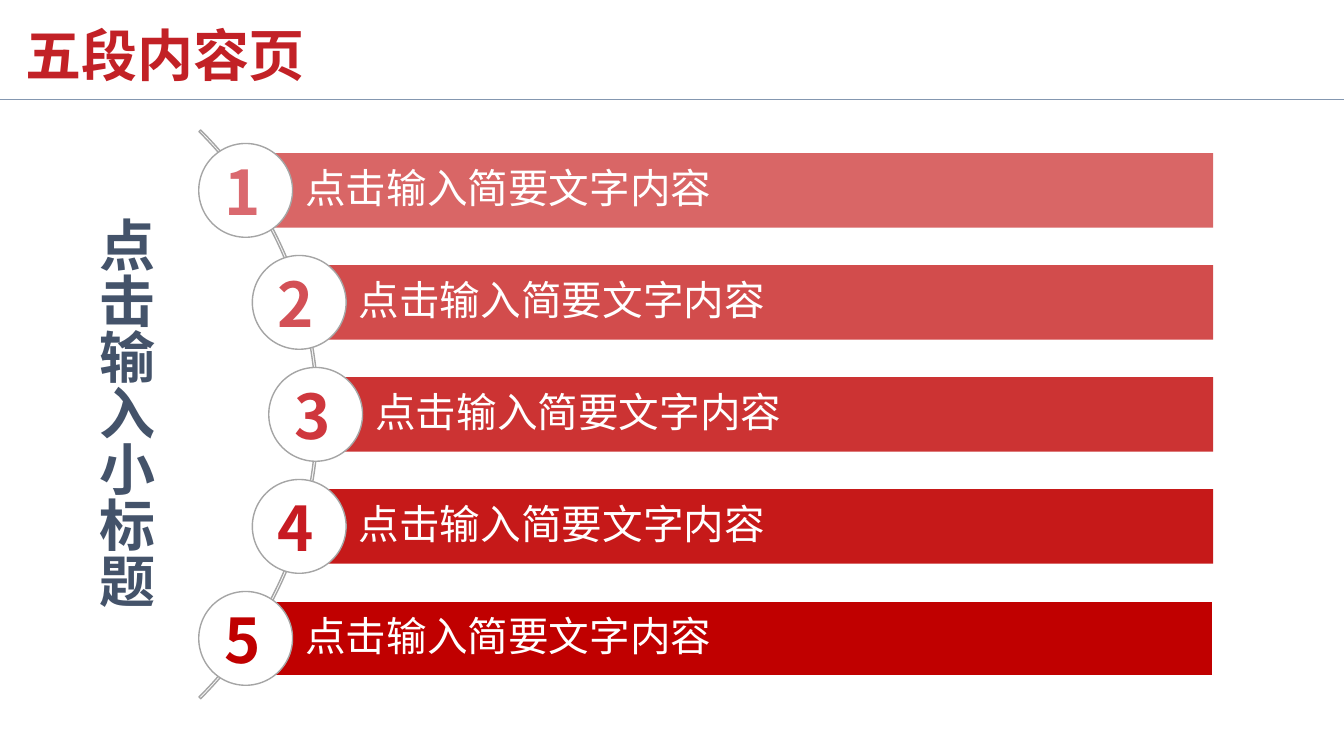
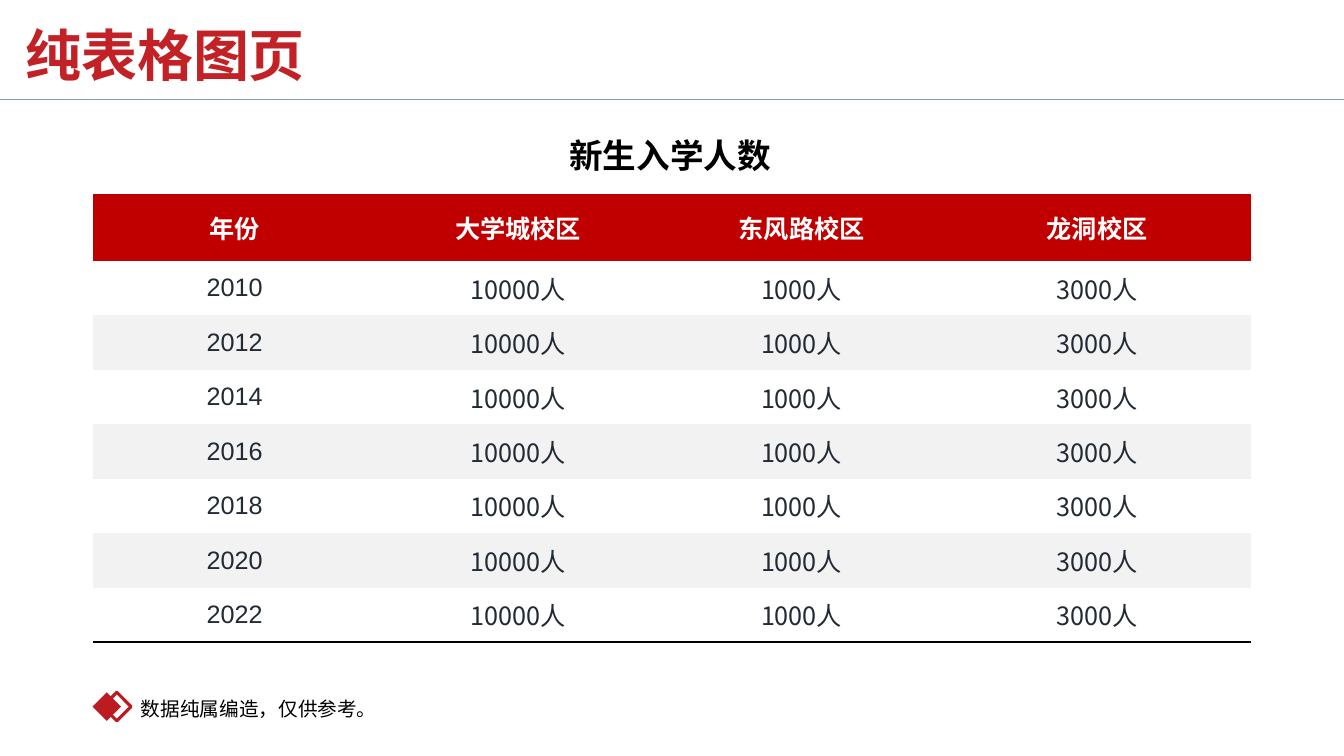
from lxml import etree
from pptx import Presentation
from pptx.dml.color import RGBColor
from pptx.enum.shapes import MSO_CONNECTOR, MSO_SHAPE
from pptx.enum.text import MSO_ANCHOR, MSO_AUTO_SIZE, PP_ALIGN
from pptx.oxml.ns import qn
from pptx.util import Pt

LEFT, CENTER = PP_ALIGN.LEFT, PP_ALIGN.CENTER
TOP, MIDDLE, BOTTOM = MSO_ANCHOR.TOP, MSO_ANCHOR.MIDDLE, MSO_ANCHOR.BOTTOM
RECT, OVAL, ARC = MSO_SHAPE.RECTANGLE, MSO_SHAPE.OVAL, MSO_SHAPE.BLOCK_ARC


class Theme:
    main, plain, year = "Noto Sans CJK JP", "Noto Sans CJK SC", "Arial"
    title, rule, red, mark = "C22126", "8497B0", "C00000", "BC1B21"
    white, black, gray, band = "FFFFFF", "000000", "A5A5A5", "F2F2F2"
    slate, ink = "44536A", "222A35"
    head, digit, item, caption, cell, note = 40, 44, 29, 24, 18, 14


# circle centre, bar opacity in percent, digit colour, text
ITEMS = [
    (175.5, 60, "DA696F", "点击输入简要文字内容"),
    (213.75, 70, "D35056", "点击输入简要文字内容"),
    (225.5, 80, "CF373D", "点击输入简要文字内容"),
    (213.75, 90, "C71B22", "点击输入简要文字内容"),
    (175.5, 100, "C00000", "点击输入简要文字内容"),
]
SIDE = "点击输入小标题"
CAPTION = "新生入学人数"
HEADS = ["年份", "大学城校区", "东风路校区", "龙洞校区"]
YEARS = range(2010, 2023, 2)
COUNTS = ["10000人", "1000人", "3000人"]
NOTE = "数据纯属编造，仅供参考。"


def rgb(code):
    return RGBColor.from_string(code)


def place(shape, box):
    shape.left, shape.top, shape.width, shape.height = map(Pt, box)


def style(para, size, color, bold=False, face=Theme.main, align=LEFT, gap=1):
    para.alignment, para.line_spacing = align, gap
    font = para.font
    font.size, font.bold, font.name = Pt(size), bold, face
    font.color.rgb = rgb(color)
    asian = Theme.plain if face == Theme.year else face
    props = para._p.pPr.find(qn("a:defRPr"))
    etree.SubElement(props, qn("a:ea")).set("typeface", asian)


def write(frame, text, *look, anchor=TOP, pads=(7.2, 3.6, 7.2, 3.6), **more):
    frame.text = text
    frame.word_wrap, frame.vertical_anchor = True, anchor
    (frame.margin_left, frame.margin_top,
     frame.margin_right, frame.margin_bottom) = map(Pt, pads)
    style(frame.paragraphs[0], *look, **more)


def add_text(slide, box, *args, **more):
    frame = slide.shapes.add_textbox(*map(Pt, box)).text_frame
    write(frame, *args, **more)
    return frame


def add_form(slide, kind, box, fill=None, line=None, width=1):
    form = slide.shapes.add_shape(kind, *map(Pt, box))
    form.shadow.inherit = False
    if fill:
        form.fill.solid()
        form.fill.fore_color.rgb = rgb(fill)
    else:
        form.fill.background()
    if line:
        form.line.color.rgb, form.line.width = rgb(line), Pt(width)
    else:
        form.line.fill.background()
    return form


def fade(form, percent):
    color = form.fill._xPr.find(".//" + qn("a:srgbClr"))
    etree.SubElement(color, qn("a:alpha")).set("val", str(percent * 1000))


def add_page(deck, title):
    slide = deck.slides.add_slide(deck.slide_layouts[5])
    head = slide.shapes.title
    place(head, (18, 8, 214, 55.5))
    write(head.text_frame, title, Theme.head, Theme.title, True,
          anchor=BOTTOM, pads=(0, 3.6, 0, 0), gap=0.9)
    head.text_frame.auto_size = MSO_AUTO_SIZE.NONE
    return slide


def share_rule(slide):
    """Put the line under the title on the layout that all slides use."""
    rule = slide.shapes.add_connector(
        MSO_CONNECTOR.STRAIGHT, Pt(0), Pt(71), Pt(960), Pt(71))
    rule.line.color.rgb, rule.line.width = rgb(Theme.rule), Pt(0.5)
    etree.SubElement(rule._element.spPr, qn("a:effectLst"))
    slide.slide_layout.shapes._spTree.append(rule._element)


def add_items(slide):
    first, step, right, tall, disc = 136, 80, 866.5, 53.3, 67
    arc = add_form(slide, ARC, (-347, 8.7, 574.5, 574.5), line=Theme.gray)
    for i, value in enumerate((189, 27, 0.003)):
        arc.adjustments[i] = value
    for i, (x, shade, color, text) in enumerate(ITEMS):
        y = first + i * step
        solid = shade == 100
        bar = add_form(slide, RECT, (x, y - tall / 2, right - x, tall),
                       Theme.red, Theme.white if solid else None)
        if not solid:
            fade(bar, shade)
        write(bar.text_frame, text, Theme.item, Theme.white,
              anchor=MIDDLE, pads=(42.5, 5.8, 5.8, 5.8), gap=0.9)
        left, top = x - disc / 2, y - disc / 2
        add_form(slide, OVAL, (left, top, disc, disc),
                 Theme.white, Theme.gray)
        add_text(slide, (left + 11, top + 4, 52.5, 60.5), str(i + 1),
                 Theme.digit, color, True)
    side = add_text(slide, (54, 148, 63.5, 295), SIDE,
                    Theme.head, Theme.slate, True)
    side._txBody.bodyPr.set("vert", "eaVert")


def underline(cell):
    line = etree.Element(qn("a:lnB"), w=str(Pt(1)))
    fill = etree.SubElement(line, qn("a:solidFill"))
    etree.SubElement(fill, qn("a:srgbClr")).set("val", Theme.black)
    cell._tc.get_or_add_tcPr().insert(0, line)


def add_grid(slide):
    rows = [HEADS] + [[str(year)] + COUNTS for year in YEARS]
    widths = [202.5] * 3 + [219.5]
    heights = [48] + [38.9] * len(YEARS)
    grid = slide.shapes.add_table(
        len(rows), len(HEADS), Pt(66.4), Pt(138.4),
        Pt(sum(widths)), Pt(sum(heights))).table
    bare = "{2D5ABB26-0587-4C30-8999-92F81FD0307C}"
    grid._tbl.tblPr.find(qn("a:tableStyleId")).text = bare
    for column, width in zip(grid.columns, widths):
        column.width = Pt(width)
    for r, (row, height) in enumerate(zip(rows, heights)):
        grid.rows[r].height = Pt(height)
        for c, text in enumerate(row):
            cell = grid.cell(r, c)
            cell.text, cell.vertical_anchor = text, MIDDLE
            top = r == 0
            style(cell.text_frame.paragraphs[0], Theme.cell,
                  Theme.white if top else Theme.ink, top,
                  Theme.year if top or c == 0 else Theme.plain, CENTER)
            if r % 2 and not top:
                cell.fill.background()
            else:
                cell.fill.solid()
                cell.fill.fore_color.rgb = rgb(
                    Theme.red if top else Theme.band)
            if r == len(rows) - 1:
                underline(cell)


def add_note(slide):
    for x, fill, line in ((76.3, Theme.white, Theme.mark),
                          (69.1, Theme.mark, None)):
        tile = add_form(slide, RECT, (x, 497.5, 14.4, 14.4), fill, line, 2.25)
        tile.rotation = 315
    add_text(slide, (93.6, 494.6, 190, 24.5), NOTE, Theme.note, Theme.black)


def main():
    deck = Presentation()
    deck.slide_width, deck.slide_height = Pt(960), Pt(540)
    steps = add_page(deck, "五段内容页")
    share_rule(steps)
    add_items(steps)
    table = add_page(deck, "纯表格图页")
    add_grid(table)
    add_text(table, (399.6, 87, 160.5, 38), CAPTION,
             Theme.caption, Theme.black, True, gap=1.2)
    add_note(table)
    deck.save("out.pptx")


if __name__ == "__main__":
    main()
